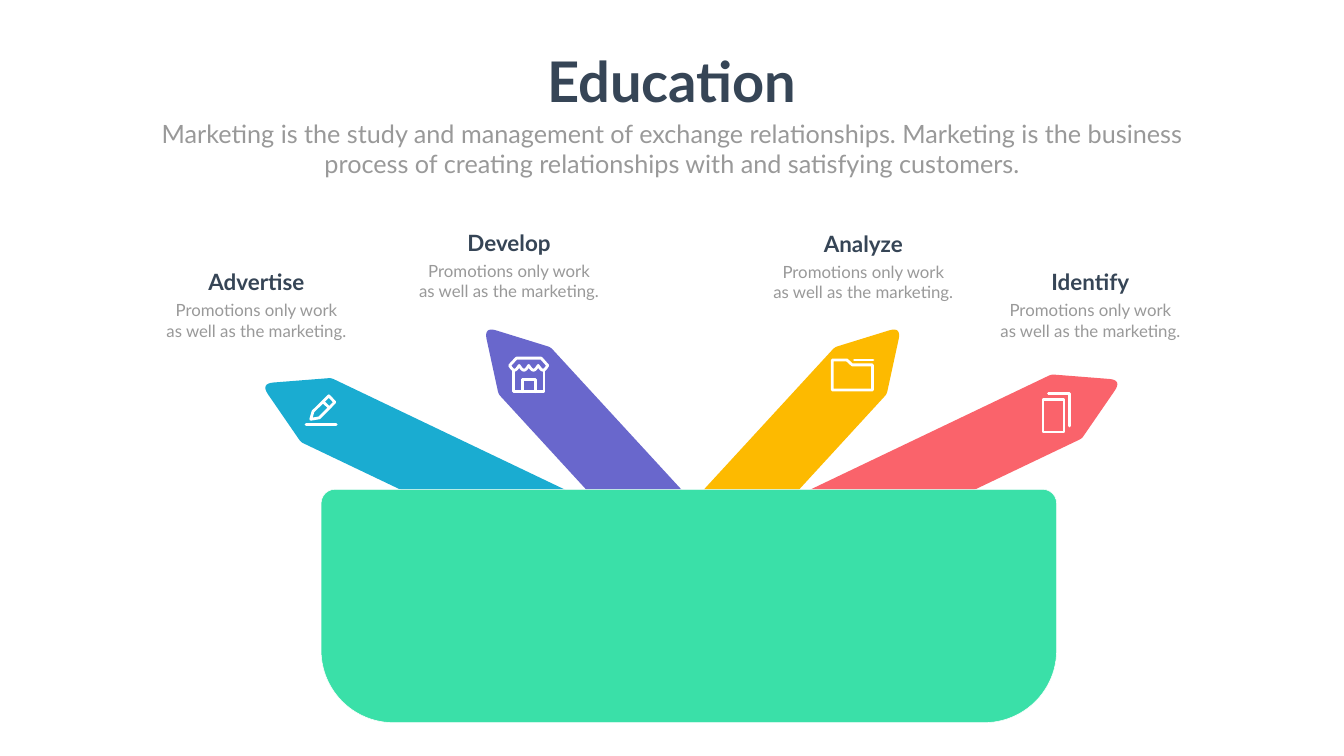
"""Build the Education slide: four pencils rising from a green tray."""
from math import dist, pi, sin

from lxml import etree
from pptx import Presentation
from pptx.dml.color import RGBColor
from pptx.enum.shapes import MSO_CONNECTOR, MSO_SHAPE
from pptx.enum.text import MSO_ANCHOR, MSO_AUTO_SIZE, PP_ALIGN
from pptx.oxml.ns import qn
from pptx.util import Cm, Pt

STRAIGHT = MSO_CONNECTOR.STRAIGHT
TRAY = MSO_SHAPE.ROUND_2_SAME_RECTANGLE
TOP = MSO_ANCHOR.TOP
NO_FIT = MSO_AUTO_SIZE.NONE
CENTER = PP_ALIGN.CENTER
NAVY, GREY, WHITE = "364556", "999999", "FFFFFF"

colour = RGBColor.from_string


def write(box, place, lines, size, hue, bold=False, wrap=True):
    box.left, box.top, box.width, box.height = map(Cm, place)
    frame = box.text_frame
    frame.text = "\n".join(lines)
    frame.word_wrap = wrap
    frame.auto_size = NO_FIT
    frame.vertical_anchor = TOP
    for paragraph in frame.paragraphs:
        paragraph.alignment = CENTER
        paragraph.space_before = Pt(0)
        paragraph.font.name = "Lato"
        paragraph.font.size = Pt(size)
        paragraph.font.bold = bold
        paragraph.font.color.rgb = colour(hue)


def outline(points, closed=True):
    corners = [(Cm(x), Cm(y)) for x, y in points]
    builder = slide.shapes.build_freeform(*corners[0], scale=1.0)
    builder.add_line_segments(corners[1:], close=closed)
    shape = builder.convert_to_shape()
    shape.shadow.inherit = False
    return shape


deck = Presentation()
deck.slide_width, deck.slide_height = Cm(67.72), Cm(38.1)
slide = deck.slides.add_slide(deck.slide_layouts[0])
title, subtitle = slide.placeholders
write(title, (27.2, 2.21, 13.31, 3.68), ["Education"], 80, NAVY, True, False)
write(subtitle, (6.81, 5.84, 54.1, 3.33),
      ["Marketing is the study and management of exchange relationships. "
       "Marketing is the business process of creating relationships with "
       "and satisfying customers."], 36, GREY)

low_pencil = [(13.13, 19.33), (16.69, 19.05), (37.2, 28.85), (35.69, 32.08), (15.16, 22.28)]
steep_pencil = [(24.38, 16.46), (27.74, 17.5), (43.13, 34.24), (40.51, 36.63), (25.12, 19.86)]
corner_cuts = [0.66, 0.15, 1.65, 1.65, 0.15]
pencils = [
    ([(69.67 - x, y - 0.18) for x, y in low_pencil], "FA636B"),
    (low_pencil, "1AACD1"),
    (steep_pencil, "6967CC"),
    ([(69.8 - x, y) for x, y in steep_pencil], "FDBA00"),
]
for corners, hue in pencils:
    rounded = []
    for i, (x, y) in enumerate(corners):
        before, after = corners[i - 1], corners[(i + 1) % len(corners)]
        into = corner_cuts[i] / dist((x, y), before)
        out = corner_cuts[i] / dist((x, y), after)
        for step in range(9):
            t = step / 8
            pull_in, pull_out = into * (1 - t) ** 2, out * t ** 2
            rounded.append((x + pull_in * (before[0] - x) + pull_out * (after[0] - x),
                            y + pull_in * (before[1] - y) + pull_out * (after[1] - y)))
    pencil = outline(rounded)
    pencil.fill.solid()
    pencil.fill.fore_color.rgb = colour(hue)
    pencil.line.fill.background()

tray = slide.shapes.add_shape(TRAY, Cm(16.18), Cm(24.66), Cm(37.06), Cm(11.76))
tray.adjustments[0], tray.adjustments[1] = 0.06, 0.31
tray.shadow.inherit = False
tray.fill.solid()
tray.fill.fore_color.rgb = colour("3AE0A8")
tray.line.color.rgb = colour(WHITE)
tray.line.width = Pt(0.75)

scallops = [(27.6 - 0.06 * i, 18.42 + 0.24 * abs(sin(pi * i / 8))) for i in range(1, 32)]
closed_strokes = [
    [(52.55, 20.13), (53.61, 20.13), (53.61, 21.77), (52.55, 21.77)],
    [(41.94, 18.14), (42.67, 18.14), (42.94, 18.39), (43.96, 18.39),
     (43.96, 19.66), (41.94, 19.66)],
    [(25.68, 18.42), (26.02, 18.05), (27.27, 18.05), (27.6, 18.42)] + scallops,
    [(15.66, 21.13), (15.77, 20.74), (16.57, 19.95), (16.87, 20.27), (16.09, 21.06)],
]
open_strokes = [
    [(52.83, 19.85), (53.87, 19.85), (53.87, 21.47)],
    [(25.88, 18.69), (25.88, 19.74), (27.41, 19.74), (27.41, 18.69)],
    [(26.31, 19.74), (26.31, 19.13), (26.97, 19.13), (26.97, 19.74)],
]
straight_strokes = [
    (43.05, 18.14, 43.99, 18.14),
    (16.33, 20.29, 16.54, 20.5),
    (15.42, 21.39, 16.94, 21.39),
]
icon_strokes = [outline(points) for points in closed_strokes]
icon_strokes += [outline(points, False) for points in open_strokes]
for stroke in icon_strokes:
    stroke.fill.background()
for ends in straight_strokes:
    stroke = slide.shapes.add_connector(STRAIGHT, *map(Cm, ends))
    icon_strokes.append(stroke)
for stroke in icon_strokes:
    stroke.line.color.rgb = colour(WHITE)
    stroke.line.width = Pt(4)
    pen = stroke.line._get_or_add_ln()
    pen.set("cap", "rnd")
    etree.SubElement(pen, qn("a:round"))
    if stroke in icon_strokes[-len(straight_strokes):]:
        etree.SubElement(stroke._element.spPr, qn("a:effectLst"))

labels = [("Advertise", 12.92, 13.4), ("Develop", 25.65, 11.43),
          ("Analyze", 43.5, 11.48), ("Identify", 54.94, 13.4)]
for heading, middle, top in labels:
    write(slide.shapes.add_textbox(0, 0, 0, 0), (middle - 3.32, top, 6.64, 1.63),
          [heading], 32, NAVY, True)
    write(slide.shapes.add_textbox(0, 0, 0, 0), (middle - 5.6, top + 1.6, 11.2, 2.31),
          ["Promotions only work", "as well as the marketing."], 24, GREY)

deck.save("out.pptx")
